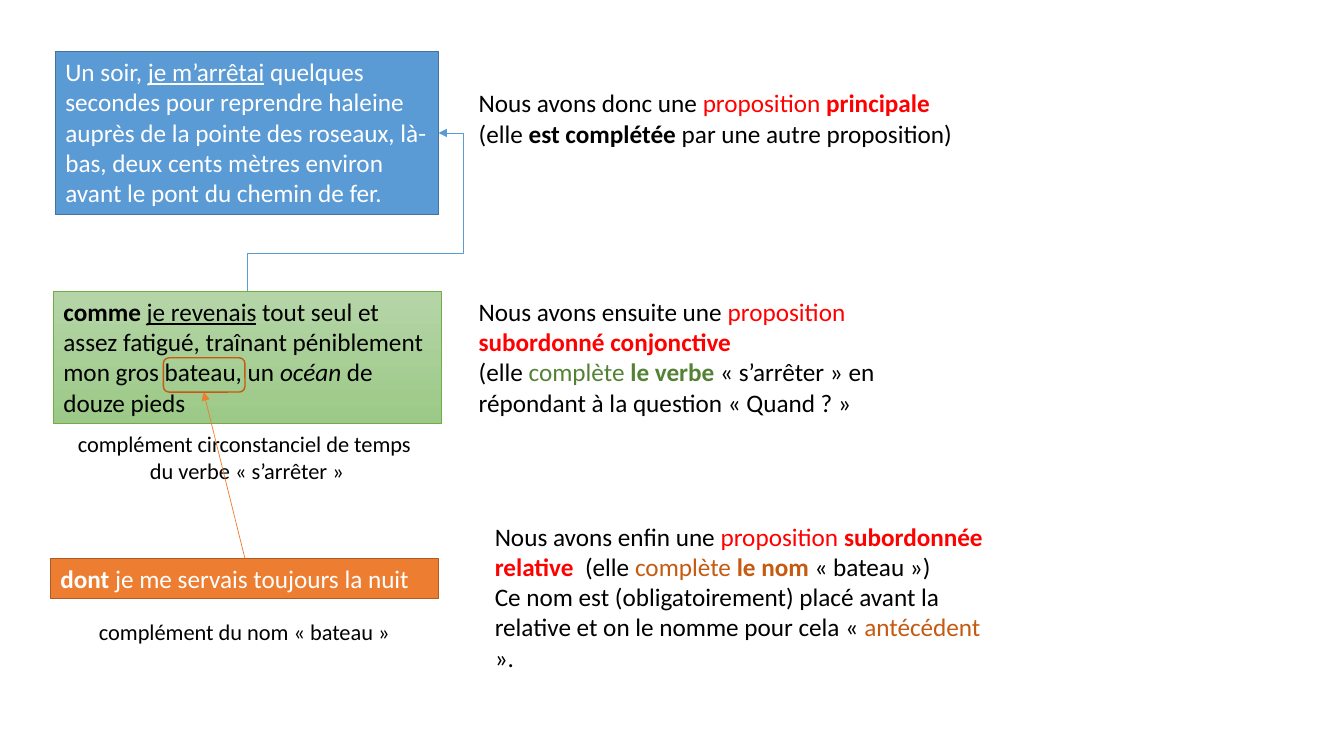
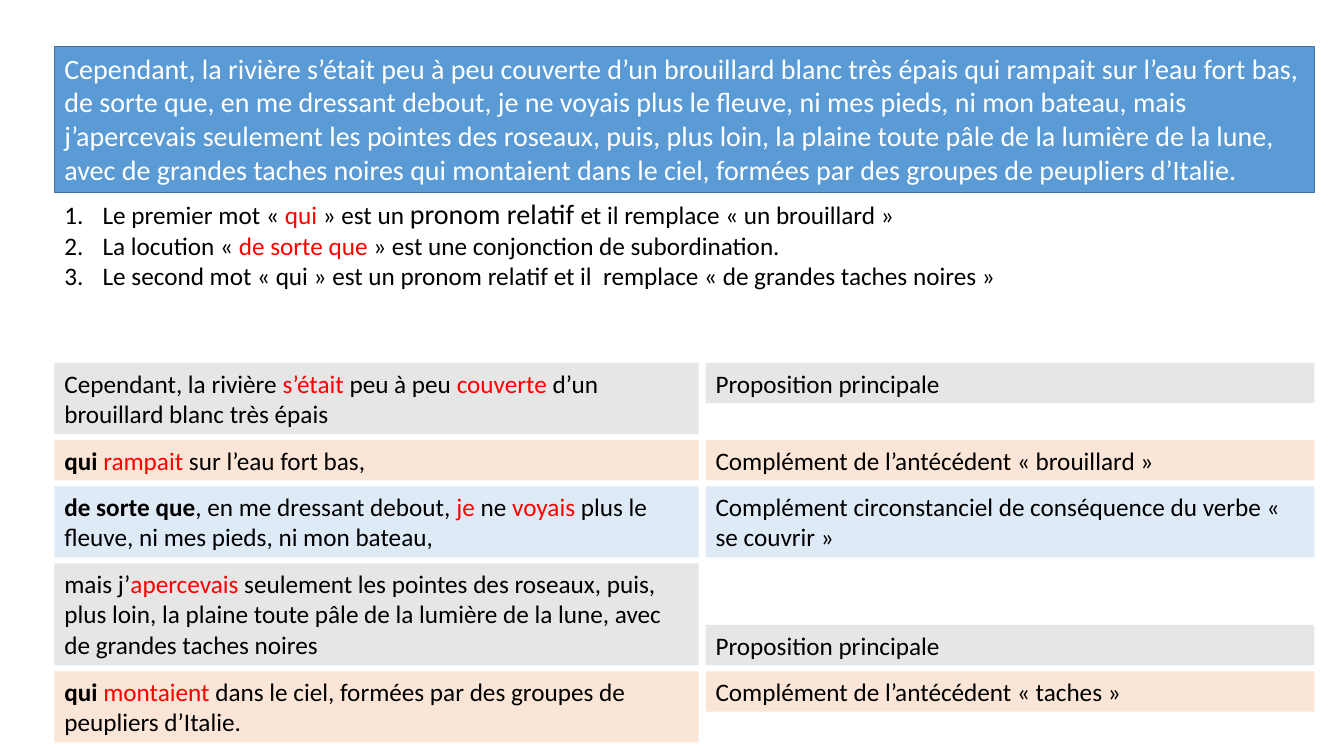
from dataclasses import dataclass

from lxml.etree import SubElement
from pptx import Presentation
from pptx.dml.color import RGBColor
from pptx.enum.shapes import MSO_CONNECTOR, MSO_SHAPE
from pptx.enum.text import MSO_ANCHOR, MSO_AUTO_SIZE, PP_ALIGN
from pptx.oxml.ns import qn
from pptx.util import Inches, Pt


@dataclass(frozen=True)
class Theme:
    font: str = "Calibri"
    body: int = 18
    large: int = 20
    caption: int = 16
    thin: float = 0.5
    thick: float = 1
    black: str = "000000"
    white: str = "FFFFFF"
    red: str = "FF0000"
    blue: str = "5B9BD5"
    blue_edge: str = "43739E"
    green: str = "70AD47"
    green_top: str = "B5D5A7"
    green_bottom: str = "9CC987"
    green_text: str = "548235"
    orange: str = "ED7D31"
    orange_edge: str = "AF5C24"
    orange_text: str = "C55A11"
    main: str = "E7E6E6"
    relative: str = "FBE5D6"
    conjunctive: str = "DEEBF7"


THEME = Theme()
WIDTH, HEIGHT = Inches(13.33), Inches(7.5)
COLUMN, ROW = WIDTH / 40, HEIGHT / 30


def grid(*lengths):
    """Turn alternating columns and rows into slide units."""
    return [round(length * (ROW if index % 2 else COLUMN))
            for index, length in enumerate(lengths)]


def color(name):
    return RGBColor.from_string(getattr(THEME, name))


class Composer:
    """Holds the deck and the current page; places are left, top, width, height."""

    def __init__(self):
        self.deck = Presentation()
        self.deck.slide_width, self.deck.slide_height = WIDTH, HEIGHT
        self.page = None

    def new_page(self):
        self.page = self.deck.slides.add_slide(self.deck.slide_layouts[6])

    def set_text(self, box, paragraphs, ink="black", size=THEME.body,
                 align=PP_ALIGN.LEFT, numbered=False):
        """Each paragraph is a list of spans: plain text, or (text, style words)."""
        frame = box.text_frame
        frame.word_wrap = True
        frame.auto_size = MSO_AUTO_SIZE.SHAPE_TO_FIT_TEXT
        frame.vertical_anchor = MSO_ANCHOR.TOP
        for index, spans in enumerate(paragraphs):
            para = frame.add_paragraph() if index else frame.paragraphs[0]
            para.alignment = align
            if numbered:
                self.number(para)
            for part in spans:
                text, style = (part, "") if isinstance(part, str) else part
                self.add_span(para, text, style.split(), ink, size)

    def add_span(self, para, text, style, ink, size):
        span = para.add_run()
        span.text = text
        font = span.font
        font.name = THEME.font
        font.size = Pt(THEME.large if "large" in style else size)
        font.bold = "bold" in style
        font.italic = "italic" in style
        font.underline = "underline" in style
        inks = [word for word in style if word in ("red", "green_text", "orange_text")]
        font.color.rgb = color(inks[0] if inks else ink)

    def number(self, para):
        properties = para._p.get_or_add_pPr()
        indent = Inches(0.38)
        properties.set("marL", str(indent))
        properties.set("indent", str(-indent))
        SubElement(properties, qn("a:buAutoNum"), type="arabicPeriod")

    def text(self, place, *paragraphs, **options):
        box = self.page.shapes.add_textbox(*grid(*place))
        self.set_text(box, paragraphs, **options)

    def shape(self, place, fill=None, edge=None, width=THEME.thick,
              kind=MSO_SHAPE.RECTANGLE):
        box = self.page.shapes.add_shape(kind, *grid(*place))
        box.shadow.inherit = False
        if fill is None:
            box.fill.background()
        elif isinstance(fill, tuple):
            box.fill.gradient()
            box.fill.gradient_angle = 270
            for stop, name, position in zip(box.fill.gradient_stops, fill, (0, 1)):
                stop.color.rgb = color(name)
                stop.position = position
        else:
            box.fill.solid()
            box.fill.fore_color.rgb = color(fill)
        if edge:
            box.line.color.rgb = color(edge)
            box.line.width = Pt(width)
        else:
            box.line.fill.background()
        return box

    def panel(self, place, spans, fill, edge=None, width=THEME.thick, **options):
        self.set_text(self.shape(place, fill, edge, width), [spans], **options)

    def connect(self, kind, ends, ink):
        link = self.page.shapes.add_connector(kind, *ends)
        link.line.color.rgb = color(ink)
        link.line.width = Pt(THEME.thin)
        properties = link.element.spPr
        SubElement(properties.find(qn("a:ln")), qn("a:tailEnd"), type="triangle")
        SubElement(properties, qn("a:effectLst"))
        return link

    def arrow(self, begin, end, ink):
        self.connect(MSO_CONNECTOR.STRAIGHT, grid(*begin, *end), ink)

    def bent_arrow(self, begin, end, ink, bends):
        """Leave upwards, turn right past the end, and come back to it."""
        left, bottom, right, top = grid(*begin, *end)
        middle_x, middle_y = (left + right) // 2, (top + bottom) // 2
        half_x, half_y = (right - left) // 2, (bottom - top) // 2
        # The frame is stored before its quarter turn, so its sides swap
        ends = (middle_x + half_y, middle_y + half_x,
                middle_x - half_y, middle_y - half_x)
        properties = self.connect(MSO_CONNECTOR.ELBOW, ends, ink).element.spPr
        properties.find(qn("a:xfrm")).set("rot", str(90 * 60000))
        geometry = properties.find(qn("a:prstGeom"))
        geometry.set("prst", "bentConnector4")
        guides = geometry.find(qn("a:avLst"))
        for index, share in enumerate(bends, 1):
            SubElement(guides, qn("a:gd"), name=f"adj{index}",
                       fmla=f"val {round(share * 100000)}")


def sentence_page(show):
    show.new_page()
    # Clauses of the sentence
    show.panel((1.65, 2.04, 11.4, 6.48), [
        "Un soir, ", ("je m’arrêtai", "underline"),
        " quelques secondes pour reprendre haleine auprès de la pointe des roseaux, "
        "là-bas, deux cents mètres environ avant le pont du chemin de fer."],
        "blue", "blue_edge", ink="white")
    show.panel((1.59, 11.56, 11.55, 5.24), [
        ("comme ", "bold"), ("je revenais", "underline"),
        " tout seul et assez fatigué, traînant péniblement mon gros bateau, un ",
        ("océan", "italic"), " de douze pieds"],
        ("green_top", "green_bottom"), "green", THEME.thin)
    show.panel((1.5, 22.16, 11.55, 1.6), [
        ("dont", "bold"), " je me servais toujours la nuit"],
        "orange", "orange_edge", ink="white")

    # Functions under the clauses
    centred = {"size": THEME.caption, "align": PP_ALIGN.CENTER}
    show.text((1.65, 16.88, 11.4, 2.56), ["complément circonstanciel de temps "],
              ["du verbe « s’arrêter »"], **centred)
    show.text((1.68, 24.32, 11.19, 1.48), ["complément du nom « bateau »"], **centred)

    # Explanations
    show.text((13.95, 3.28, 15.18, 4.04),
              ["Nous avons donc une ", ("proposition ", "red"), ("principale", "red bold")],
              ["(elle ", ("est complétée ", "bold"), "par une autre proposition)"])
    show.text((13.95, 11.56, 15.18, 6.48),
              ["Nous avons ensuite une ", ("proposition ", "red"),
               ("subordonné conjonctive", "red bold")],
              ["(elle ", ("complète ", "green_text"), ("le verbe ", "green_text bold"),
               "« s’arrêter » en répondant à la question « Quand ? »"])
    show.text((14.43, 20.48, 15.18, 7.68),
              ["Nous avons enfin une ", ("proposition ", "red"),
               ("subordonnée relative  ", "red bold"), "(elle ",
               ("complète ", "orange_text"), ("le nom ", "orange_text bold"),
               "« bateau »)"],
              ["Ce nom est (obligatoirement) placé avant la relative et on le nomme "
               "pour cela « ", ("antécédent", "orange_text"), " »."])

    # Antecedent marker and links
    show.shape((4.86, 14.2, 2.43, 1.36), edge="orange_text",
               kind=MSO_SHAPE.ROUNDED_RECTANGLE)
    show.arrow((7.29, 22.16), (6.06, 15.56), "orange")
    show.bent_arrow((7.35, 11.56), (13.05, 5.28), "blue", (0.24, 1.13))


# Kind, left spans, left line count, right text, right line count, right sits at the bottom
CLAUSES = [
    ("main", ["Cependant, la rivière ", ("s’était ", "red"), "peu à peu ",
              ("couverte ", "red"), "d’un brouillard blanc très épais"], 2,
     "Proposition principale", 1, False),
    ("relative", [("qui ", "bold"), ("rampait", "red"), " sur l’eau fort bas,"], 1,
     "Complément de l’antécédent « brouillard »", 1, False),
    ("conjunctive", [("de sorte que", "bold"), ", en me dressant debout, ",
                     ("je ", "red"), "ne", (" voyais ", "red"),
                     "plus le fleuve, ni mes pieds, ni mon bateau,"], 2,
     "Complément circonstanciel de conséquence du verbe « se couvrir »", 2, False),
    ("main", ["mais j’", ("apercevais", "red"),
              " seulement les pointes des roseaux, puis, plus loin, la plaine toute "
              "pâle de la lumière de la lune, avec de grandes taches noires"], 3,
     "Proposition principale", 1, True),
    ("relative", [("qui ", "bold"), ("montaient", "red"),
                  " dans le ciel, formées par des groupes de peupliers d’Italie."], 2,
     "Complément de l’antécédent « taches »", 1, False),
]


def panel_height(lines):
    return 1.6 + 1.22 * (lines - 1)


def analysis_page(show):
    show.new_page()
    # Passage and remarks
    show.panel((1.62, 1.84, 37.5, 5.8), [
        "Cependant, la rivière s’était peu à peu couverte d’un brouillard blanc très "
        "épais qui rampait sur l’eau fort bas, de sorte que, en me dressant debout, je "
        "ne voyais plus le fleuve, ni mes pieds, ni mon bateau, mais j’apercevais "
        "seulement les pointes des roseaux, puis, plus loin, la plaine toute pâle de la "
        "lumière de la lune, avec de grandes taches noires qui montaient dans le ciel, "
        "formées par des groupes de peupliers d’Italie."],
        "blue", "blue_edge", ink="white", size=THEME.large)
    show.text((1.62, 7.6, 37.5, 4.16),
              ["Le premier mot « ", ("qui", "red"), " » est un ",
               ("pronom relatif ", "large"), "et il remplace « un brouillard »"],
              ["La locution « ", ("de sorte que", "red"),
               " » est une conjonction de subordination."],
              ["Le second mot « qui » est un pronom relatif et il  remplace "
               "« de grandes taches noires »"], numbered=True)

    # Clauses on the left, their functions on the right
    top, gap = 14.4, 0.24
    for kind, spans, lines, function, function_lines, at_bottom in CLAUSES:
        height, function_height = panel_height(lines), panel_height(function_lines)
        function_top = top + height - function_height if at_bottom else top
        show.panel((1.62, top, 19.17, height), spans, kind)
        show.panel((21, function_top, 18.12, function_height), [function], kind)
        top += height + gap


def main():
    show = Composer()
    sentence_page(show)
    analysis_page(show)
    show.deck.save("out.pptx")


if __name__ == "__main__":
    main()
